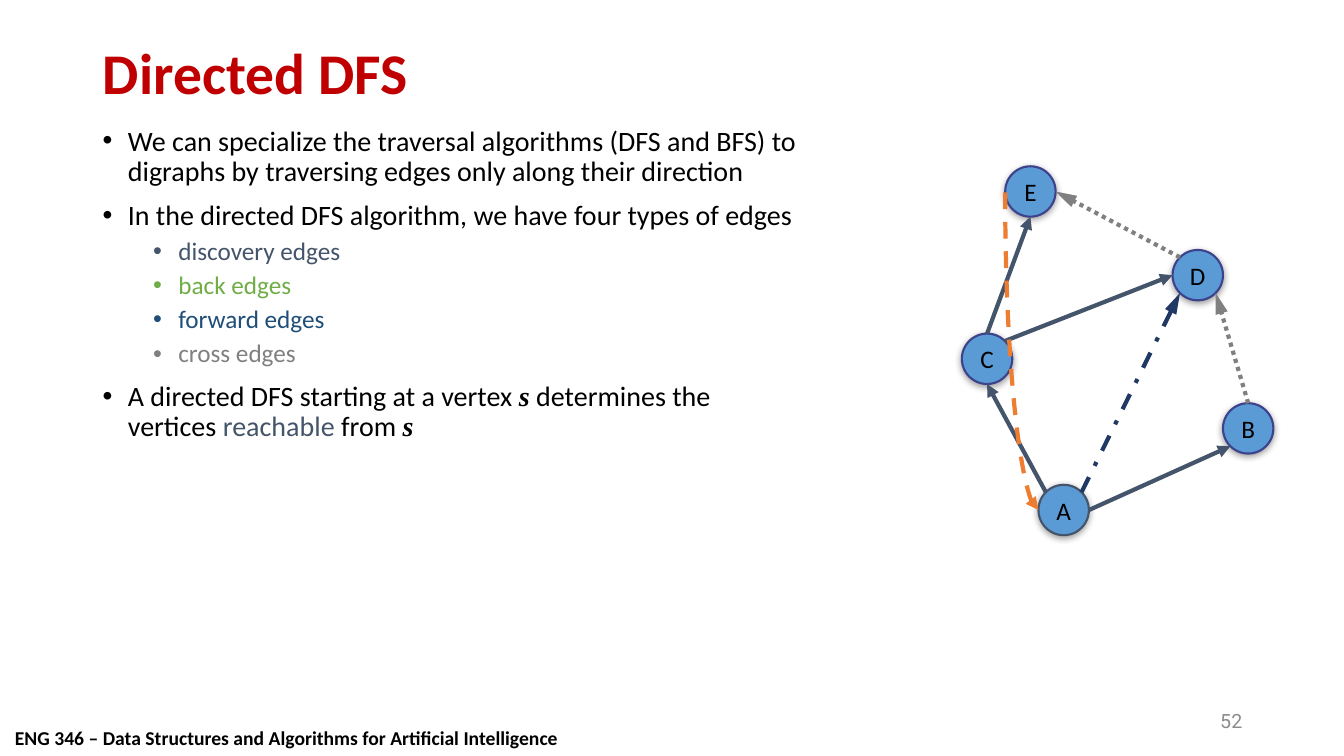
import math
from dataclasses import dataclass
from typing import Optional

from lxml import etree
from pptx import Presentation
from pptx.dml.color import RGBColor
from pptx.enum import dml, shapes, text
from pptx.oxml import ns
from pptx.util import Inches, Pt

BLACK, RED, SLATE, GREEN = "000000", "C00000", "44546A", "70AD47"
BLUE, GREY, NAVY, ORANGE = "1F4E79", "808080", "203864", "ED7D31"
SKY, VIOLET, PAGE_GREY = "5B9BD5", "3C428B", "8C8C8C"
DIAMETER = 0.5

# Compass angles of the points on a vertex where edges meet it
ANGLES = {"E": 0, "SE": 45, "S": 90, "SW": 135, "W": 180, "NW": 225, "N": 270, "NE": 315}


@dataclass
class Span:
    text: str
    color: str = BLACK
    symbol: bool = False


@dataclass
class Item:
    spans: list[Span]
    level: int = 0


@dataclass
class Vertex:
    left: float
    top: float
    outline: str = VIOLET


@dataclass
class Edge:
    start: str
    start_side: str
    end: str
    end_side: str
    color: str = SLATE
    dash: Optional[int] = None
    long_head: bool = False
    curved: bool = False


ITEMS = [
    Item([Span("We can specialize the traversal algorithms (DFS and BFS) to digraphs "
               "by traversing edges only along their direction")]),
    Item([Span("In the directed DFS algorithm, we have four types of edges")]),
    Item([Span("discovery edges", SLATE)], 1),
    Item([Span("back edges", GREEN)], 1),
    Item([Span("forward edges", BLUE)], 1),
    Item([Span("cross edges", GREY)], 1),
    Item([Span("A directed DFS starting at a vertex "), Span("s", symbol=True),
          Span(" determines the vertices "), Span("reachable", SLATE),
          Span(" from "), Span("s", symbol=True)]),
]

VERTICES = {
    "A": Vertex(10.3, 4.81, SLATE),
    "C": Vertex(9.54, 3.31),
    "E": Vertex(9.97, 1.65),
    "B": Vertex(12.13, 4),
    "D": Vertex(11.63, 2.48),
}

DOTS, DASH_DOT, DASHES = (dml.MSO_LINE.ROUND_DOT, dml.MSO_LINE.DASH_DOT, dml.MSO_LINE.DASH)
EDGES = [
    Edge("A", "NW", "C", "S"),
    Edge("A", "E", "B", "SW"),
    Edge("C", "N", "E", "S"),
    Edge("D", "NW", "E", "E", GREY, DOTS, True),
    Edge("B", "N", "D", "SE", GREY, DOTS, True),
    Edge("A", "NE", "D", "SW", NAVY, DASH_DOT, True),
    Edge("C", "NE", "D", "W"),
    Edge("A", "W", "E", "W", ORANGE, DASHES, curved=True),
]


def rgb(color: str) -> RGBColor:
    return RGBColor.from_string(color)


def add_xml(parent, tag: str, **attributes):
    return etree.SubElement(parent, ns.qn(tag), attributes)


def add_span(para, content: str, color: str, **formats) -> None:
    span = para.add_run()
    span.text = content
    span.font.color.rgb = rgb(color)
    for name, value in formats.items():
        setattr(span.font, name, value)


def add_box(page, left: float, top: float, width: float, height: float, wrap: bool = True):
    box = page.shapes.add_textbox(Inches(left), Inches(top), Inches(width), Inches(height))
    box.text_frame.word_wrap = wrap
    return box.text_frame


def add_item(para, item: Item, first: bool) -> None:
    para.level = item.level
    properties = para._p.get_or_add_pPr()
    properties.set("marL", str(Inches(0.25 + 0.5 * item.level)))
    properties.set("indent", str(Inches(-0.25)))
    add_xml(add_xml(properties, "a:buClr"), "a:srgbClr", val=item.spans[0].color)
    add_xml(properties, "a:buFont", typeface="Arial")
    add_xml(properties, "a:buChar", char="•")
    para.line_spacing = 0.9
    para.space_before = Pt(0 if first else 5 if item.level else 10)
    for span in item.spans:
        add_span(para, span.text, span.color, size=Pt(18 if item.level else 20),
                 name="Times New Roman" if span.symbol else "Calibri",
                 bold=span.symbol, italic=span.symbol)


def add_vertex(page, label: str, vertex: Vertex) -> None:
    circle = page.shapes.add_shape(shapes.MSO_SHAPE.OVAL, Inches(vertex.left), Inches(vertex.top),
                                   Inches(DIAMETER), Inches(DIAMETER))
    circle.fill.solid()
    circle.fill.fore_color.rgb = rgb(SKY)
    circle.line.color.rgb = rgb(vertex.outline)
    circle.line.width = Pt(1.5)
    # Soft shadow straight below
    circle.shadow.inherit = False
    effects = circle._element.spPr.find(ns.qn("a:effectLst"))
    shadow = add_xml(effects, "a:outerShdw", blurRad=str(Pt(5)), dist=str(Pt(1.6)),
                     dir="5400000", rotWithShape="0")
    add_xml(add_xml(shadow, "a:srgbClr", val=BLACK), "a:alpha", val="38000")
    frame = circle.text_frame
    frame.word_wrap = False
    frame.vertical_anchor = text.MSO_ANCHOR.MIDDLE
    frame.paragraphs[0].alignment = text.PP_ALIGN.CENTER
    add_span(frame.paragraphs[0], label, BLACK, size=Pt(18), name="Calibri")


def rim_point(label: str, side: str) -> tuple[int, int]:
    vertex, angle, radius = VERTICES[label], math.radians(ANGLES[side]), DIAMETER / 2
    return (Inches(vertex.left + radius * (1 + math.cos(angle))),
            Inches(vertex.top + radius * (1 + math.sin(angle))))


def add_edge(page, edge: Edge) -> None:
    kind = shapes.MSO_CONNECTOR.CURVE if edge.curved else shapes.MSO_CONNECTOR.STRAIGHT
    line = page.shapes.add_connector(kind, *rim_point(edge.start, edge.start_side),
                                     *rim_point(edge.end, edge.end_side))
    line.line.color.rgb = rgb(edge.color)
    line.line.width = Pt(3)
    if edge.dash is not None:
        line.line.dash_style = edge.dash
    properties = line._element.spPr
    # The curved back edge points at its first vertex
    if edge.curved:
        properties.find(ns.qn("a:prstGeom")).set("prst", "curvedConnector2")
    add_xml(properties.find(ns.qn("a:ln")), "a:headEnd" if edge.curved else "a:tailEnd",
            type="triangle", w="med", len="lg" if edge.long_head else "med")
    add_xml(properties, "a:effectLst")


def main() -> None:
    deck = Presentation()
    deck.slide_width, deck.slide_height = Inches(13.33), Inches(7.5)
    page = deck.slides.add_slide(deck.slide_layouts[5])

    # Title
    title = page.shapes.title
    title.left, title.top, title.width, title.height = map(Inches, (0.92, 0.4, 11.5, 0.7))
    title.text_frame.auto_size = text.MSO_AUTO_SIZE.NONE
    title.text_frame.vertical_anchor = text.MSO_ANCHOR.MIDDLE
    heading = title.text_frame.paragraphs[0]
    heading.alignment, heading.line_spacing = text.PP_ALIGN.LEFT, 0.9
    add_span(heading, "Directed DFS", RED, size=Pt(41.1), name="Calibri", bold=True)

    # Bulleted text
    body = add_box(page, 0.92, 1.21, 7.12, 5.54)
    for index, item in enumerate(ITEMS):
        para = body.add_paragraph() if index else body.paragraphs[0]
        add_item(para, item, first=index == 0)

    # Footer and page number
    footer = add_box(page, 0.05, 7.15, 5.63, 0.33, wrap=False)
    add_span(footer.paragraphs[0],
             "ENG 346 – Data Structures and Algorithms for Artificial Intelligence",
             BLACK, size=Pt(14), name="Calibri", bold=True)
    number = add_box(page, 9.42, 6.95, 3, 0.4)
    number.vertical_anchor = text.MSO_ANCHOR.MIDDLE
    number.paragraphs[0].alignment = text.PP_ALIGN.RIGHT
    add_span(number.paragraphs[0], "52", PAGE_GREY, size=Pt(14), name="Roboto")

    # Directed graph
    for label, vertex in VERTICES.items():
        add_vertex(page, label, vertex)
    for edge in EDGES:
        add_edge(page, edge)

    deck.save("out.pptx")


if __name__ == "__main__":
    main()
